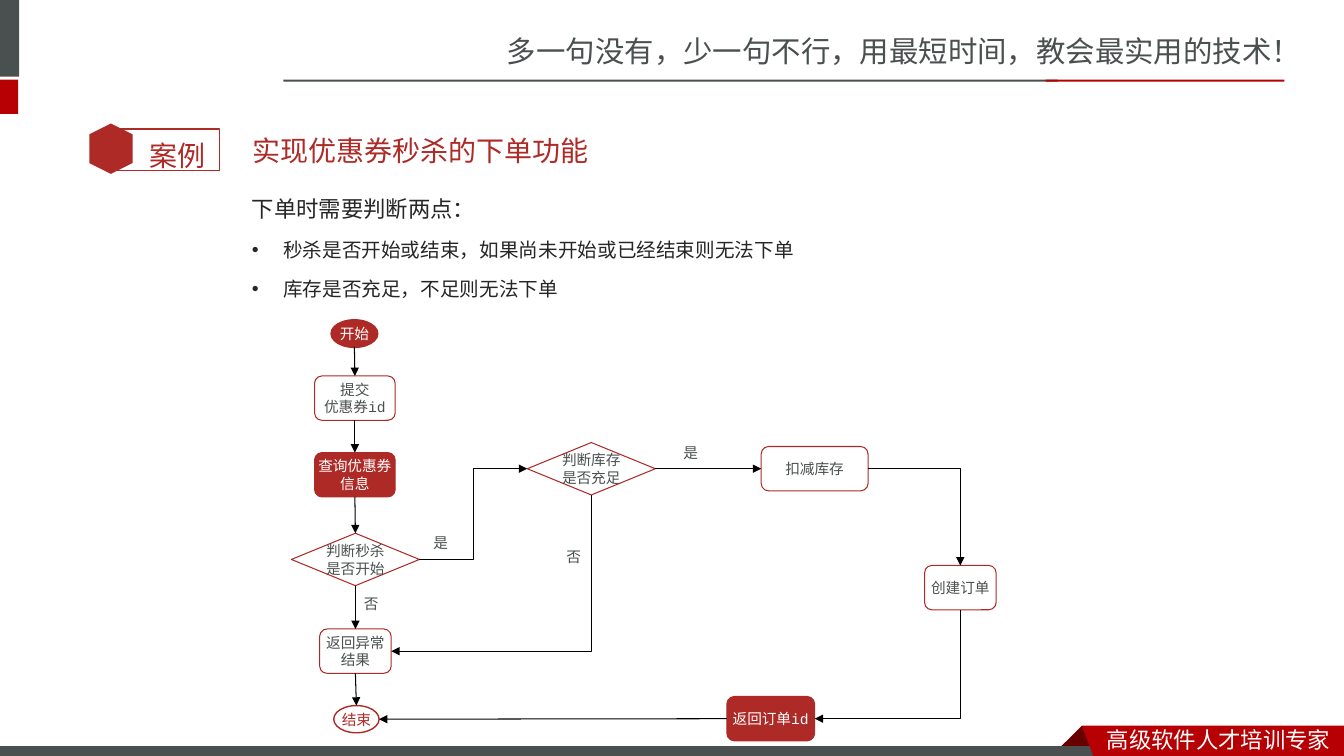
from dataclasses import dataclass
from lxml.etree import SubElement
from pptx import Presentation
from pptx.dml.color import RGBColor
from pptx.enum.shapes import MSO_CONNECTOR, MSO_SHAPE
from pptx.enum.text import MSO_ANCHOR, MSO_AUTO_SIZE, PP_ALIGN
from pptx.oxml.ns import qn
from pptx.util import Inches, Pt

TOP, LEFT, BOTTOM, RIGHT = range(4)


@dataclass(frozen=True)
class Theme:
    white: str = "FFFFFF"
    black: str = "000000"
    grey: str = "49504F"
    ink: str = "262626"
    red: str = "AD2A26"
    bright: str = "B60004"
    dark: str = "680000"
    slogan: float = 21
    heading: float = 20
    lead: float = 16
    bullet: float = 14
    label: float = 10.5
    cjk: str = "Noto Sans CJK SC"
    body: str = "Noto Sans CJK JP"
    badge: str = "Roboto"
    title: str = "Arial"
    flow: str = "Courier New"


def apply(obj, values):
    for name, value in values.items():
        setattr(obj, name, value)


class Board:
    def __init__(self, prs, theme):
        self.t = theme
        self.s = prs.slides.add_slide(prs.slide_layouts[5])

    def style(self, sp, fill=None, line=None, width=0.75):
        sp.shadow.inherit = False
        for part, color in ((sp.fill, fill), (sp.line.fill, line)):
            if color:
                part.solid()
                part.fore_color.rgb = RGBColor.from_string(color)
            else:
                part.background()
        if line:
            sp.line.width = Pt(width)
        return sp

    def shape(self, kind, box, fill=None, line=None, width=0.75):
        sp = self.s.shapes.add_shape(kind, *map(Inches, box))
        return self.style(sp, fill, line, width)

    def outline(self, points, fill):
        pts = [(Inches(x), Inches(y)) for x, y in points]
        fb = self.s.shapes.build_freeform(*pts[0], scale=1.0)
        fb.add_line_segments(pts[1:], close=True)
        return self.style(fb.convert_to_shape(), fill)

    def run(self, p, text, size, font, color, **fmt):
        apply(p, fmt)
        r = p.add_run()
        r.text = text
        apply(r.font, {"size": Pt(size), "name": font, "bold": False})
        r.font.color.rgb = RGBColor.from_string(color)
        SubElement(r._r.get_or_add_rPr(), qn("a:ea"), typeface=font)

    def text(self, box, text, size, font, color, wrap=True, **fmt):
        tf = self.s.shapes.add_textbox(*map(Inches, box)).text_frame
        apply(tf, {"word_wrap": wrap, "auto_size": MSO_AUTO_SIZE.SHAPE_TO_FIT_TEXT})
        self.run(tf.paragraphs[0], text, size, font, color, **fmt)
        return tf

    def title(self, box, text):
        sp = self.s.shapes.title
        apply(sp, dict(zip(("left", "top", "width", "height"), map(Inches, box))))
        tf = sp.text_frame
        apply(tf, {"vertical_anchor": MSO_ANCHOR.MIDDLE, "word_wrap": True,
                   "auto_size": MSO_AUTO_SIZE.NONE})
        self.run(tf.paragraphs[0], text, self.t.heading, self.t.title,
                 self.t.red, alignment=PP_ALIGN.LEFT)

    def bullet(self, tf, text):
        p = tf.add_paragraph()
        pPr = p._p.get_or_add_pPr()
        pPr.set("marL", str(Inches(0.31)))
        pPr.set("indent", str(Inches(-0.31)))
        SubElement(pPr, qn("a:buFont"), typeface="Arial")
        SubElement(pPr, qn("a:buChar"), char="•")
        self.run(p, text, self.t.bullet, self.t.body, self.t.ink,
                 line_spacing=1.5, space_before=Pt(3))

    def node(self, kind, box, lines, fill=None, color=None, width=0.75, pad=0.05):
        sp = self.shape(kind, box, fill or self.t.white, self.t.red, width)
        tf = sp.text_frame
        apply(tf, {"margin_left": 0, "margin_right": 0, "margin_top": Inches(pad),
                   "margin_bottom": Inches(pad), "word_wrap": True,
                   "vertical_anchor": MSO_ANCHOR.MIDDLE})
        for i, line in enumerate(lines.split("\n")):
            p = tf.add_paragraph() if i else tf.paragraphs[0]
            self.run(p, line, self.t.label, self.t.flow, color or self.t.grey,
                     alignment=PP_ALIGN.CENTER)
        return sp

    def anchor(self, sp, side):
        fx, fy = ((0.5, 0), (0, 0.5), (0.5, 1), (1, 0.5))[side]
        return int(sp.left + sp.width * fx), int(sp.top + sp.height * fy)

    def link(self, a, side_a, b, side_b, bend=None):
        (x1, y1), (x2, y2) = self.anchor(a, side_a), self.anchor(b, side_b)
        kind = MSO_CONNECTOR.ELBOW if bend else MSO_CONNECTOR.STRAIGHT
        c = self.s.shapes.add_connector(kind, x1, y1, x2, y2)
        for sp, side, join in ((a, side_a, c.begin_connect), (b, side_b, c.end_connect)):
            if side == TOP or sp.auto_shape_type != MSO_SHAPE.OVAL:
                join(sp, side)
        spPr = c._element.spPr
        if bend == "corner":
            spPr.find(qn("a:prstGeom")).set("prst", "bentConnector2")
            if side_a == BOTTOM:
                w, h = y2 - y1, x1 - x2
                apply(c, {"left": (x1 + x2 - w) // 2, "top": (y1 + y2 - h) // 2,
                          "width": w, "height": h})
                xfrm = spPr.find(qn("a:xfrm"))
                xfrm.attrib.pop("flipH", None)
                xfrm.set("rot", str(90 * 60000))
        c.line.width = Pt(0.75)
        c.line.color.rgb = RGBColor.from_string(self.t.black)
        SubElement(spPr.find(qn("a:ln")), qn("a:tailEnd"), type="triangle")
        SubElement(spPr, qn("a:effectLst"))


def draw_frame(b, t):
    b.shape(MSO_SHAPE.RECTANGLE, (-0.01, 7.45, 13.3, 0.08), t.white, t.white)
    b.text((4.93, 0.28, 8.41, 0.47), "多一句没有，少一句不行，用最短时间，教会最实用的技术！",
           t.slogan, t.cjk, t.grey)
    for box, color in (((-0.06, 0, 0.25, 0.76), t.grey),
                       ((-0.06, 0.79, 0.24, 0.34), t.bright),
                       ((2.81, 0.79, 7.68, 0.02), t.grey),
                       ((10.37, 0.79, 2.37, 0.02), t.bright)):
        b.shape(MSO_SHAPE.RECTANGLE, box, color)
    b.outline([(10.73, 7.2), (10.95, 7.42), (10.94, 7.43), (10.52, 7.43),
               (10.51, 7.42)], t.dark)
    b.shape(MSO_SHAPE.RECTANGLE, (-0.01, 7.41, 10.96, 0.09), t.grey, t.grey)
    b.outline([(10.73, 7.2), (13.33, 7.2), (13.33, 7.54), (10.86, 7.54)], t.bright)
    b.text((10.88, 7.15, 2.45, 0.37), "高级软件人才培训专家", t.lead, t.cjk, t.white)
    b.shape(MSO_SHAPE.RECTANGLE, (1.09, 1.28, 1.09, 0.41), line=t.red, width=1)
    b.shape(MSO_SHAPE.HEXAGON, (0.85, 1.26, 0.5, 0.43), t.red).rotation = 90
    b.text((1.38, 1.16, 0.85, 0.56), "案例", t.heading, t.badge, t.red, line_spacing=1.5)


def draw_intro(b, t):
    b.title((2.4, 1.21, 10.08, 0.57), "实现优惠券秒杀的下单功能")
    tf = b.text((2.4, 1.75, 10.08, 1.48), "下单时需要判断两点：", t.lead, t.body, t.ink,
                line_spacing=1.5)
    b.bullet(tf, "秒杀是否开始或结束，如果尚未开始或已经结束则无法下单")
    b.bullet(tf, "库存是否充足，不足则无法下单")


def draw_flow(b, t):
    oval, box, choice = MSO_SHAPE.OVAL, MSO_SHAPE.ROUNDED_RECTANGLE, MSO_SHAPE.DIAMOND
    filled = {"fill": t.red, "color": t.white}
    start = b.node(oval, (3.29, 3.18, 0.45, 0.26), "开始", width=2, **filled)
    submit = b.node(box, (3.12, 3.73, 0.8, 0.44), "提交\n优惠券id")
    query = b.node(box, (3.12, 4.49, 0.8, 0.44), "查询优惠券信息", pad=0, **filled)
    started = b.node(choice, (2.89, 5.29, 1.27, 0.52), "判断秒杀是否开始")
    error = b.node(box, (3.17, 6.24, 0.71, 0.44), "返回异常结果")
    end = b.node(oval, (3.31, 7, 0.45, 0.27), "结束", color=t.red, width=1)
    stock = b.node(choice, (5.23, 4.39, 1.27, 0.52), "判断库存\n是否充足")
    deduct = b.node(box, (7.55, 4.43, 1.06, 0.44), "扣减库存")
    create = b.node(box, (9.17, 5.61, 0.71, 0.44), "创建订单")
    order = b.node(box, (7.21, 6.91, 0.87, 0.44), "返回订单id", pad=0, **filled)

    column = (start, submit, query, started, error, end)
    for upper, lower in zip(column, column[1:]):
        b.link(upper, BOTTOM, lower, TOP)
    b.link(started, RIGHT, stock, LEFT, "step")
    b.link(stock, RIGHT, deduct, LEFT)
    b.link(stock, BOTTOM, error, RIGHT, "corner")
    b.link(deduct, RIGHT, create, TOP, "corner")
    b.link(create, BOTTOM, order, RIGHT, "corner")
    b.link(order, LEFT, end, RIGHT)

    for x, y, answer in ((4.2, 5.25, "是"), (3.51, 5.85, "否"),
                         (6.68, 4.35, "是"), (5.52, 5.39, "否")):
        b.text((x, y, 0.35, 0.28), answer, t.label, t.flow, t.grey, wrap=False)


def main():
    prs = Presentation()
    apply(prs, {"slide_width": Inches(13.33), "slide_height": Inches(7.5)})
    theme = Theme()
    board = Board(prs, theme)
    for draw in (draw_frame, draw_intro, draw_flow):
        draw(board, theme)
    prs.save("out.pptx")


if __name__ == "__main__":
    main()
